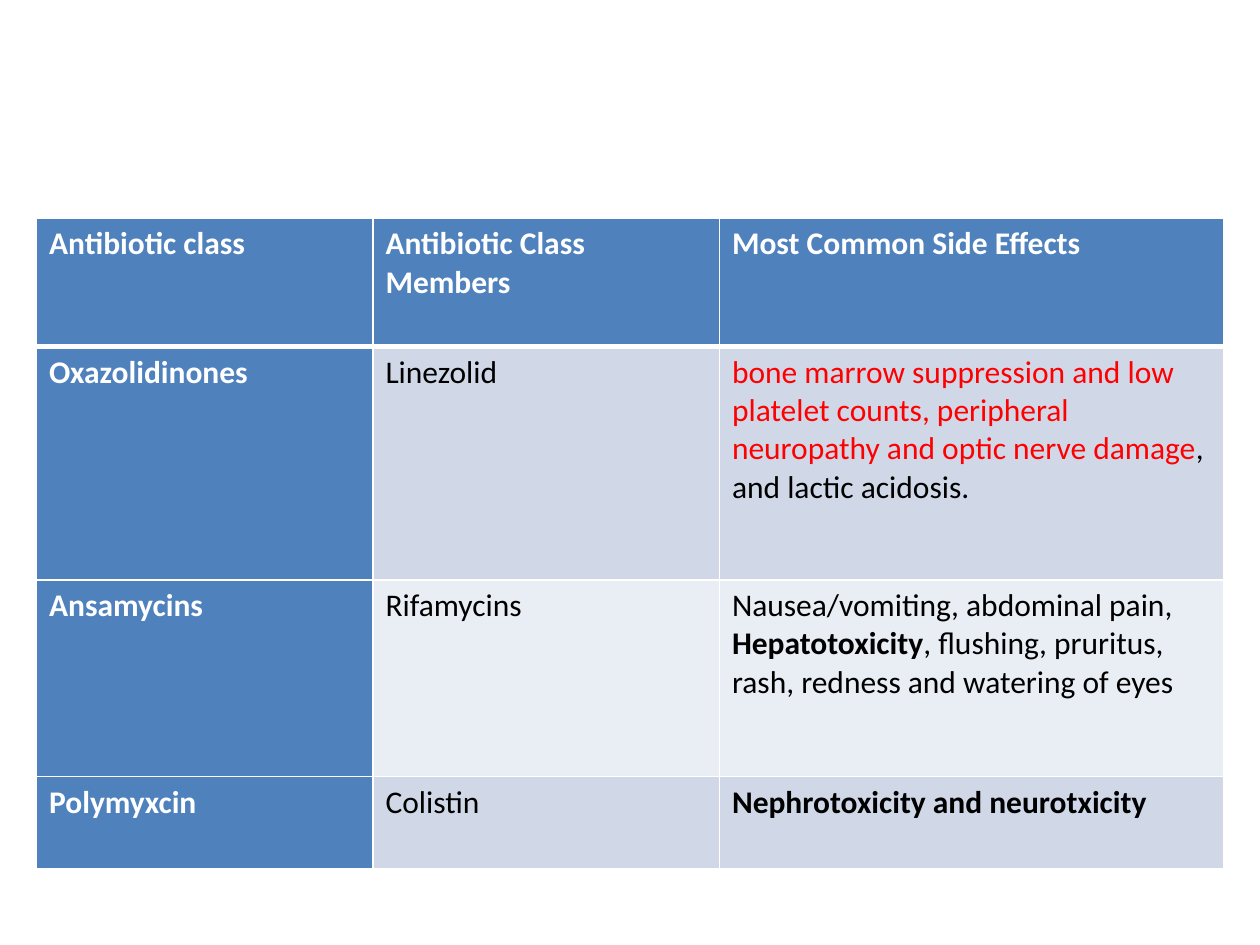
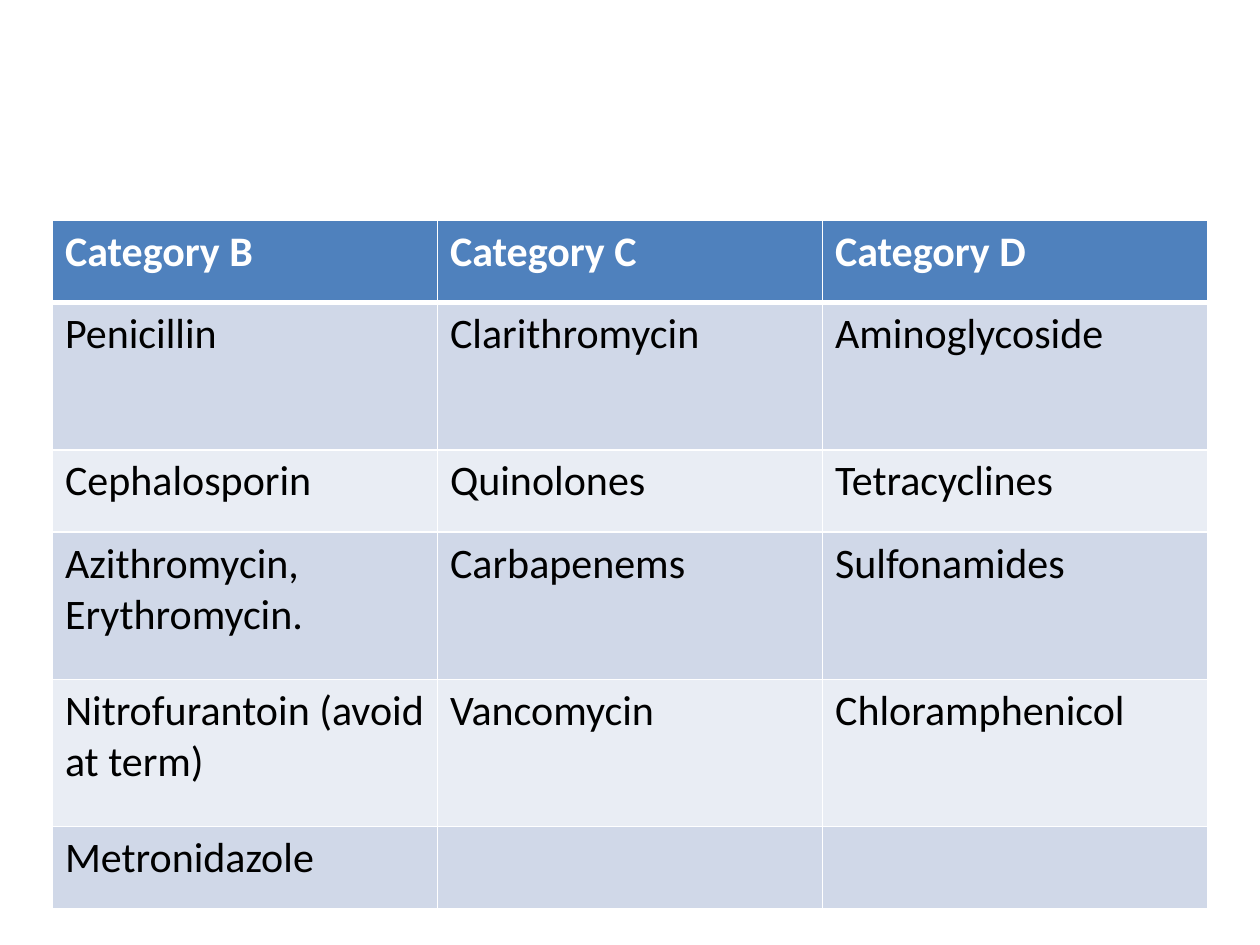
from lxml import etree
from pptx import Presentation
from pptx.dml.color import RGBColor
from pptx.oxml.ns import qn
from pptx.util import Inches, Pt

WHITE = RGBColor(0xFF, 0xFF, 0xFF)
BLACK = RGBColor(0x00, 0x00, 0x00)
RED = RGBColor(0xFF, 0x00, 0x00)
BLUE = RGBColor(0x4F, 0x81, 0xBD)
BANDS = [RGBColor(0xE9, 0xED, 0xF4), RGBColor(0xD0, 0xD8, 0xE8)]
FONT = "Calibri"

prs = Presentation()
prs.slide_width, prs.slide_height = Inches(10), Inches(7.5)
COL, ROW = prs.slide_width / 100, prs.slide_height / 100

side_effects = [
    ["Antibiotic class", "Antibiotic Class Members", "Most Common Side Effects"],
    ["Oxazolidinones", "Linezolid", [
        ("bone marrow suppression and low platelet counts, peripheral "
         "neuropathy and optic nerve damage", {"color": RED}),
        (", and lactic acidosis.", {})]],
    ["Ansamycins", "Rifamycins", [
        ("Nausea/vomiting, abdominal pain, ", {}),
        ("Hepatotoxicity", {"bold": True}),
        (", flushing, pruritus, rash, redness and watering of eyes", {})]],
    ["Polymyxcin", "Colistin", [("Nephrotoxicity and neurotxicity", {"bold": True})]],
]
pregnancy = [
    ["Category B", "Category C", "Category D"],
    ["Penicillin", "Clarithromycin", "Aminoglycoside"],
    ["Cephalosporin", "Quinolones", "Tetracyclines"],
    ["Azithromycin, Erythromycin.", "Carbapenems", "Sulfonamides"],
    ["Nitrofurantoin (avoid at term)", "Vancomycin", "Chloramphenicol"],
    ["Metronidazole", "", ""],
]
tables = [
    {"rows": side_effects, "top": 23.1, "size": 18, "first_col": True,
     "widths": [26.7, 27.5, 40], "heights": [13.6, 24.7, 20.8, 9.7]},
    {"rows": pregnancy, "top": 23.3, "size": 24, "first_col": False,
     "widths": [30.56] * 3, "heights": [8.7, 15.6, 8.7, 15.6, 15.6, 8.7]},
]


def set_border(cell, side, width):
    ln = etree.SubElement(cell._tc.get_or_add_tcPr(), qn("a:ln" + side), w=str(Pt(width)))
    fill = etree.SubElement(ln, qn("a:solidFill"))
    etree.SubElement(fill, qn("a:srgbClr"), val=str(WHITE))


for t in tables:
    s = prs.slides.add_slide(prs.slide_layouts[6])
    width, height = sum(t["widths"]), sum(t["heights"])
    frame = s.shapes.add_table(
        len(t["rows"]), len(t["widths"]), int((100 - width) / 2 * COL),
        int(t["top"] * ROW), int(width * COL), int(height * ROW))
    table = frame.table
    table.first_col = t["first_col"]
    for column, w in zip(table.columns, t["widths"]):
        column.width = int(w * COL)
    for row, h in zip(table.rows, t["heights"]):
        row.height = int(h * ROW)
    for i, row in enumerate(t["rows"]):
        for j, content in enumerate(row):
            cell = table.cell(i, j)
            heading = i == 0 or (j == 0 and t["first_col"])
            for side in "LRTB":
                thick = (i, side) in [(0, "B"), (1, "T")]
                set_border(cell, side, 3 if thick else 1)
            cell.fill.solid()
            cell.fill.fore_color.rgb = BLUE if heading else BANDS[i % 2]
            p = cell.text_frame.paragraphs[0]
            p.font.size = Pt(t["size"])
            runs = [(content, {})] if isinstance(content, str) else content
            for text, changes in runs:
                if not text:
                    continue
                r = p.add_run()
                r.text = text
                style = {"name": FONT, "size": Pt(t["size"]), "bold": heading,
                         "color": WHITE if heading else BLACK, **changes}
                r.font.color.rgb = style.pop("color")
                for key, value in style.items():
                    setattr(r.font, key, value)

prs.save("out.pptx")
